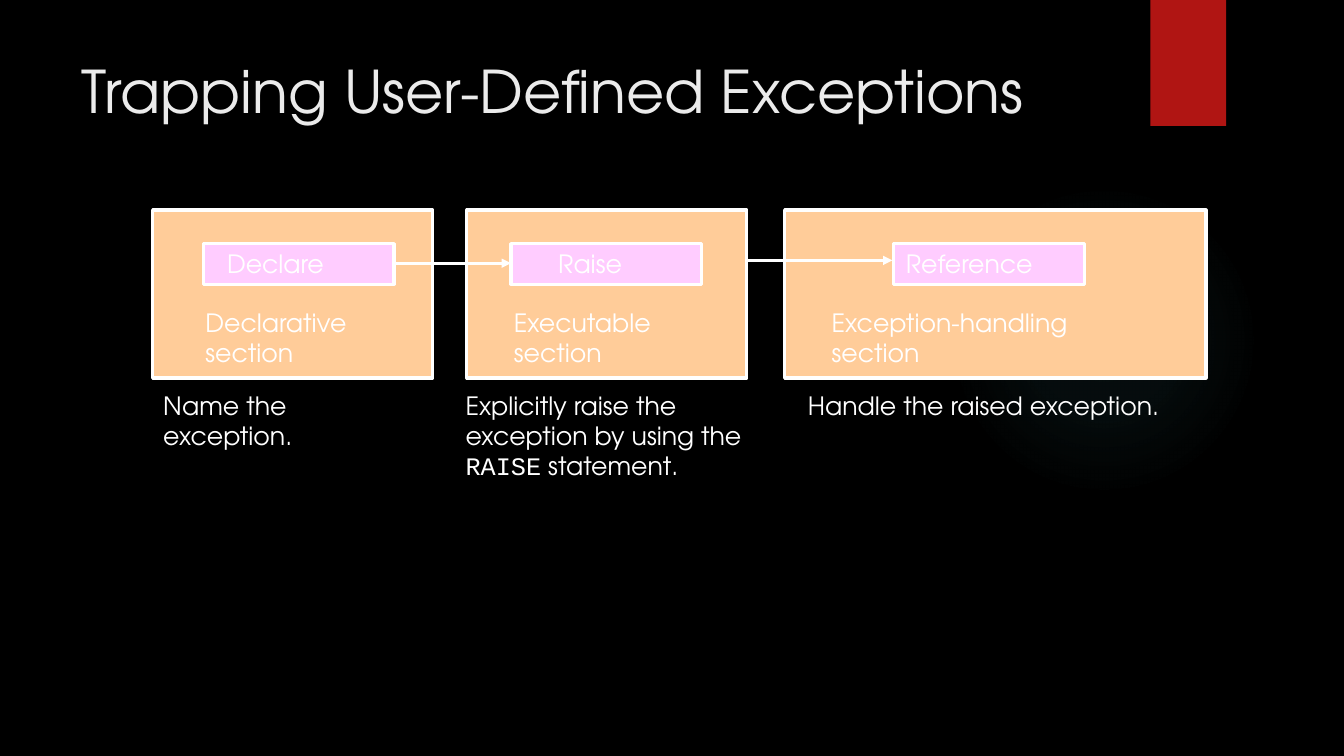
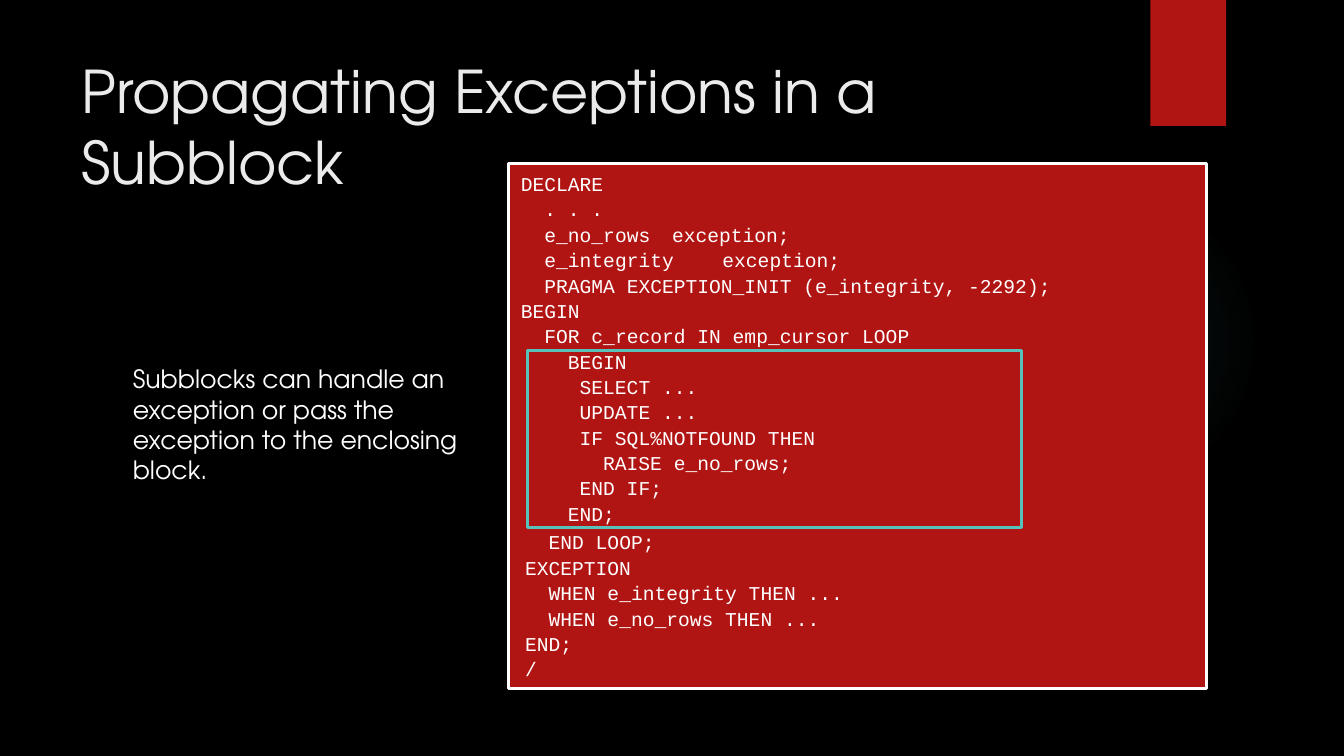
import dataclasses

import lxml.etree
import pptx
import pptx.dml.color
import pptx.enum.shapes
import pptx.enum.text
import pptx.oxml.ns
import pptx.util

Pt = pptx.util.Pt
SHAPES = pptx.enum.shapes.MSO_SHAPE
ANCHORS = pptx.enum.text.MSO_ANCHOR
qualified = pptx.oxml.ns.qn


@dataclasses.dataclass(frozen=True)
class Theme:
    background: str = "000000"
    title: str = "EBEBEB"
    text: str = "FFFFFF"
    accent: str = "B01513"
    glow: str = "50B9C1"
    panel: str = "FFCC99"
    step: str = "FFCCFF"
    highlight: str = "58C1BA"
    font: str = "TeX Gyre Adventor"
    code_font: str = "Courier New"
    title_size: float = 42
    body_size: float = 18
    code_size: float = 14
    line_width: float = 2.25


THEME = Theme()
CODE_CHARACTER = THEME.code_size * 0.6  # advance width of one code character
CODE_SPACE_BEFORE = 1.3

# Flow columns: panel left, panel width, section left, section lines,
# caption left, caption width, caption runs
COLUMNS = [
    (109, 200, 139.7, ["Declarative", "section"],
     109.5, 184, [("Name the exception.", THEME.font)]),
    (333.5, 200, 360, ["Executable", "section"],
     325.5, 216, [("Explicitly raise the exception by using the ", THEME.font),
                  ("RAISE", THEME.code_font), (" statement.", THEME.font)]),
    (560.5, 301, 587, ["Exception-handling", "section"],
     570, 274, [("Handle the raised exception.", THEME.font)]),
]

# Steps: left, text inset, label
STEPS = [(145.5, 16.7, "Declare"), (365, 33.8, "Raise"), (638.5, 8.6, "Reference")]

# Arrows: start, end, height on the slide
ARROWS = [(277, 365, 188), (533.5, 637.5, 186)]

# Code lines: indent in characters, text, tab stop in points
BLOCK_CODE = [
    (0, "DECLARE", None),
    (2, ". . .", None),
    (2, "e_no_rows\texception;", 108),
    (2, "e_integrity\texception;", 144),
    (2, "PRAGMA EXCEPTION_INIT (e_integrity, -2292);", None),
    (0, "BEGIN", None),
    (2, "FOR c_record IN emp_cursor LOOP", None),
    (4, "BEGIN", None),
    (5, "SELECT ...", None),
    (5, "UPDATE ...", None),
    (5, "IF SQL%NOTFOUND THEN", None),
    (7, "RAISE e_no_rows;", None),
    (5, "END IF;", None),
    (4, "END;", None),
]
HANDLER_CODE = [
    (2, "END LOOP;", None),
    (0, "EXCEPTION", None),
    (2, "WHEN e_integrity THEN ...", None),
    (2, "WHEN e_no_rows THEN ...", None),
    (0, "END;", None),
    (0, "/", None),
]


def color(value):
    return pptx.dml.color.RGBColor.from_string(value)


def write_text(shape, lines, size=THEME.body_size, font=THEME.font,
               text_color=THEME.text, anchor=ANCHORS.TOP, left_inset=7.2):
    """Each line is a string or a list of (text, font) runs."""
    frame = shape.text_frame
    frame.word_wrap = True
    frame.vertical_anchor = anchor
    frame.margin_left = Pt(left_inset)
    for index, line in enumerate(lines):
        paragraph = frame.add_paragraph() if index else frame.paragraphs[0]
        paragraph.alignment = pptx.enum.text.PP_ALIGN.LEFT
        runs = [(line, font)] if isinstance(line, str) else line
        for text, run_font in runs:
            run = paragraph.add_run()
            run.text = text
            run.font.name = run_font
            run.font.size = Pt(size)
            run.font.color.rgb = color(text_color)
    return frame


def add_text(slide, left, top, width, height, lines, **text_format):
    shape = slide.shapes.add_textbox(Pt(left), Pt(top), Pt(width), Pt(height))
    return write_text(shape, lines, **text_format)


def add_box(slide, left, top, width, height, fill=None, line=None,
            preset=SHAPES.RECTANGLE):
    shape = slide.shapes.add_shape(preset, Pt(left), Pt(top), Pt(width), Pt(height))
    shape.shadow.inherit = False
    if fill:
        shape.fill.solid()
        shape.fill.fore_color.rgb = color(fill)
    else:
        shape.fill.background()
    if line:
        shape.line.color.rgb = color(line)
        shape.line.width = Pt(THEME.line_width)
    else:
        shape.line.fill.background()
    return shape


def add_arrow(slide, start, end, height):
    connector = slide.shapes.add_connector(
        pptx.enum.shapes.MSO_CONNECTOR.STRAIGHT,
        Pt(start), Pt(height), Pt(end), Pt(height))
    connector.line.color.rgb = color(THEME.text)
    connector.line.width = Pt(THEME.line_width)
    properties = connector.element.spPr
    line = properties.find(qualified("a:ln"))
    lxml.etree.SubElement(line, qualified("a:tailEnd"), type="triangle")
    lxml.etree.SubElement(properties, qualified("a:effectLst"))


def add_glow(slide):
    """Soft circle that fades from the centre."""
    shape = add_box(slide, 677.5, 131.8, 221.8, 221.8, preset=SHAPES.OVAL)
    gradient = lxml.etree.Element(qualified("a:gradFill"), rotWithShape="1")
    stops = lxml.etree.SubElement(gradient, qualified("a:gsLst"))
    for position, alpha in [(0, 7), (36, 6), (69, 0)]:
        stop = lxml.etree.SubElement(stops, qualified("a:gs"), pos=str(position * 1000))
        tint = lxml.etree.SubElement(stop, qualified("a:srgbClr"), val=THEME.glow)
        lxml.etree.SubElement(tint, qualified("a:alpha"), val=str(alpha * 1000))
    circle = lxml.etree.SubElement(gradient, qualified("a:path"), path="circle")
    lxml.etree.SubElement(circle, qualified("a:fillToRect"),
                          l="50000", t="50000", r="50000", b="50000")
    properties = shape.element.spPr
    properties.replace(properties.find(qualified("a:noFill")), gradient)


def add_code(slide, left, top, width, height, code):
    frame = add_text(slide, left, top, width, height, [text for _, text, _ in code],
                     size=THEME.code_size, font=THEME.code_font)
    for paragraph, (indent, _, tab_stop) in zip(frame.paragraphs, code):
        paragraph.space_before = Pt(CODE_SPACE_BEFORE)
        properties = paragraph._p.get_or_add_pPr()
        properties.set("marL", "0")
        properties.set("indent", str(Pt(indent * CODE_CHARACTER)))
        if tab_stop:
            tabs = lxml.etree.SubElement(properties, qualified("a:tabLst"))
            lxml.etree.SubElement(tabs, qualified("a:tab"),
                                  pos=str(Pt(tab_stop)), algn="l")


def add_slide(presentation, title):
    """Blank slide with the shared background, glow, ribbon and title."""
    slide = presentation.slides.add_slide(presentation.slide_layouts[6])
    slide.background.fill.solid()
    slide.background.fill.fore_color.rgb = color(THEME.background)
    add_glow(slide)
    add_box(slide, 821.8, 0, 54, 90, fill=THEME.accent)
    add_text(slide, 51, 35.5, 741, 110, [title],
             size=THEME.title_size, text_color=THEME.title)
    return slide


def build_trapping(presentation):
    slide = add_slide(presentation, "Trapping User-Defined Exceptions")
    # Panels with section names and captions
    for (left, width, section_left, section,
         caption_left, caption_width, caption) in COLUMNS:
        add_box(slide, left, 150, width, 120, THEME.panel, THEME.text)
        add_text(slide, section_left, 216, left + width - section_left, 51, section)
        add_text(slide, caption_left, 275, caption_width, 80, [caption])
    # Flow arrows and steps
    for start, end, height in ARROWS:
        add_arrow(slide, start, end, height)
    for left, inset, label in STEPS:
        step = add_box(slide, left, 174, 136, 29, THEME.step, THEME.text)
        write_text(step, [label], anchor=ANCHORS.MIDDLE, left_inset=inset)


def build_propagating(presentation):
    slide = add_slide(presentation, "Propagating Exceptions in a Subblock")
    # Code panel
    add_box(slide, 363.5, 117, 498.5, 375, THEME.accent, THEME.text)
    add_code(slide, 365, 119.3, 490, 267, BLOCK_CODE)
    add_code(slide, 368, 375.3, 300, 117, HANDLER_CODE)
    # Frame around the subblock
    add_box(slide, 376.5, 250.6, 353, 126, line=THEME.highlight)
    # Explanation
    add_text(slide, 87.8, 256.3, 280, 115,
             ["Subblocks can handle an exception or pass the exception "
              "to the enclosing block."])


def main():
    presentation = pptx.Presentation()
    presentation.slide_width = Pt(960)
    presentation.slide_height = Pt(540)
    build_trapping(presentation)
    build_propagating(presentation)
    presentation.save("out.pptx")


if __name__ == "__main__":
    main()
